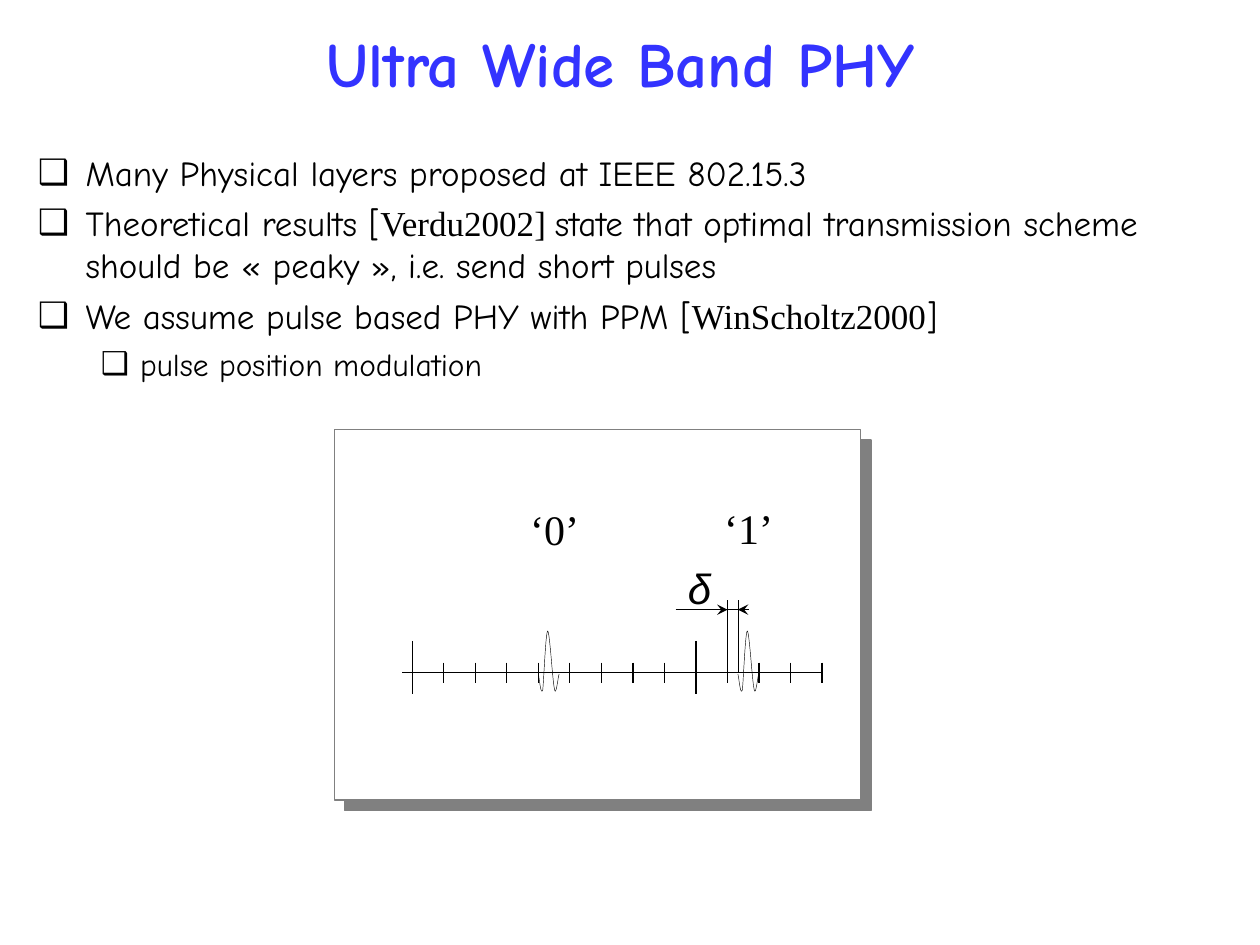
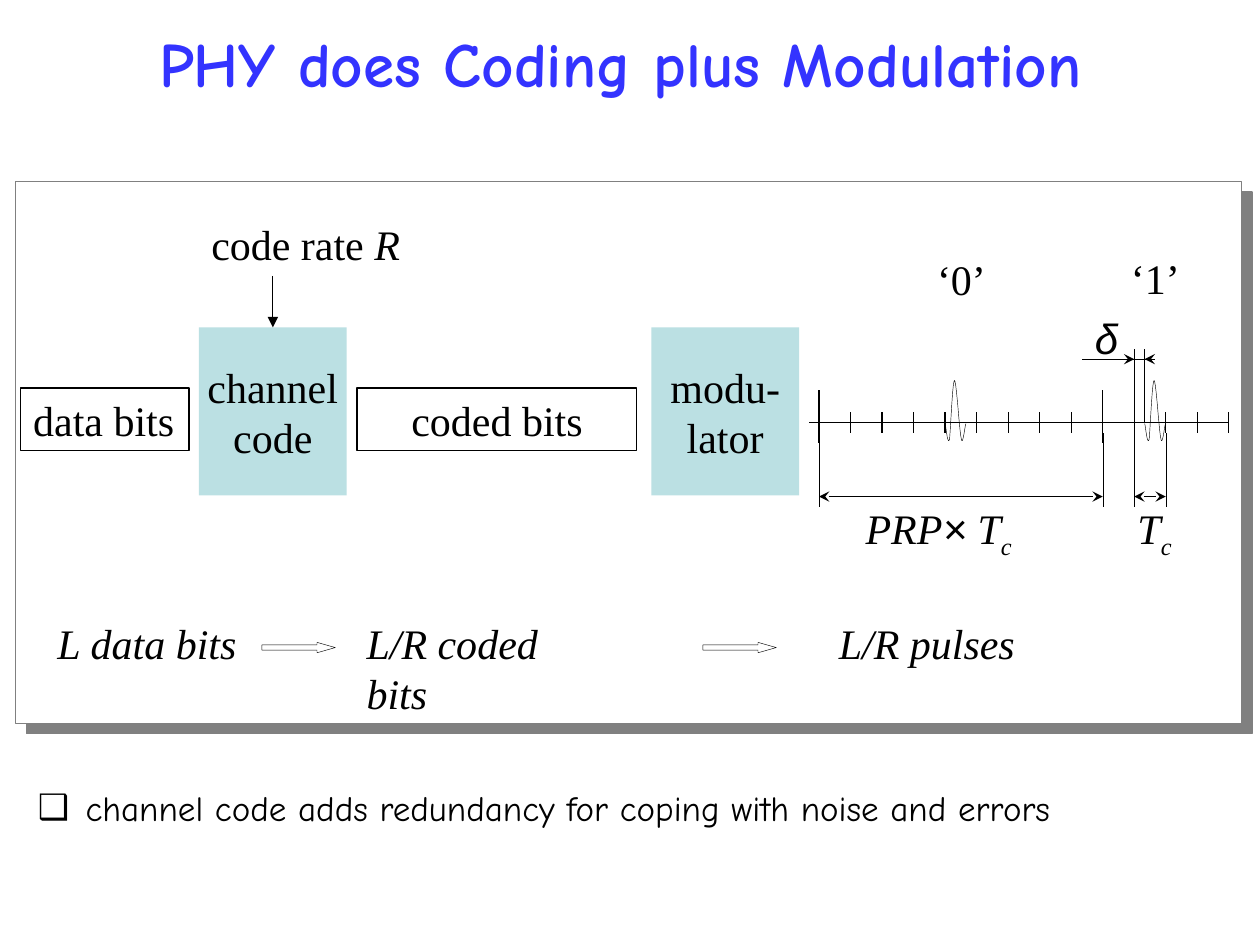
from dataclasses import dataclass

from lxml import etree
from pptx import Presentation
from pptx import util as u
from pptx.dml.color import RGBColor
from pptx.enum import dml, shapes, text
from pptx.oxml import ns


@dataclass(frozen=True)
class Theme:
    title_color: RGBColor = RGBColor(0x33, 0x33, 0xFF)
    ink: RGBColor = RGBColor(0, 0, 0)
    paper: RGBColor = RGBColor(0xFF, 0xFF, 0xFF)
    gray: RGBColor = RGBColor(0x80, 0x80, 0x80)
    block: RGBColor = RGBColor(0xBB, 0xE0, 0xE3)
    heading_font: str = "Comic Neue"
    label_font: str = "Times New Roman"
    symbol_font: str = "Arial"
    title_size: u.Pt = u.Pt(36)
    list_sizes: tuple = (u.Pt(20), u.Pt(18))
    label_size: u.Pt = u.Pt(24)
    normal_line: u.Pt = u.Pt(0.75)
    thin_line: u.Pt = u.Pt(0.25)


@dataclass(frozen=True)
class Run:
    text: str
    font: str = Theme.label_font
    italic: bool = False
    subscript: bool = False


THEME = Theme()
LIST_INDENTS = ((0.96, -0.96), (2.06, -0.79))
LIST_GAPS = (u.Pt(5), u.Pt(4.5))
LABEL_HEIGHT = 1.27

PERIOD = 5.72
CHIPS_PER_PERIOD = 9
CHIP = PERIOD / CHIPS_PER_PERIOD
LAST_TICK = 13
ONE_CHIP = 10
DELTA = 0.21
PULSE_START = (0, 0.03)
PULSE_CURVES = (
    ((0.02, 0.08), (0.05, 0.48), (0.09, 0.35)),
    ((0.11, 0.2), (0.15, -0.84), (0.19, -0.84)),
    ((0.23, -0.84), (0.29, 0.2), (0.33, 0.35)),
    ((0.36, 0.48), (0.4, 0.08), (0.42, 0.03)),
)


def heading(words):
    return Run(words, THEME.heading_font)


def italic(words):
    return Run(words, italic=True)


def subscript(words):
    return Run(words, italic=True, subscript=True)


def box_lengths(box):
    return [u.Cm(length) for length in box]


def place(shape, box):
    shape.left, shape.top, shape.width, shape.height = box_lengths(box)


def add_runs(paragraph, runs, size):
    for item in runs:
        run = paragraph.add_run()
        run.text = item.text
        run.font.name = item.font
        run.font.size = size
        run.font.color.rgb = THEME.ink
        if item.italic:
            run.font.italic = True
        if item.subscript:
            run._r.get_or_add_rPr().set("baseline", "-25000")


def add_slide(presentation, title, list_box, items):
    slide = presentation.slides.add_slide(presentation.slide_layouts[1])
    heading_shape = slide.shapes.title
    place(heading_shape, (0.3, 0, 24.41, 2.51))
    frame = heading_shape.text_frame
    frame.vertical_anchor = text.MSO_ANCHOR.MIDDLE
    frame.auto_size = text.MSO_AUTO_SIZE.NONE
    paragraph = frame.paragraphs[0]
    paragraph.alignment = text.PP_ALIGN.CENTER
    run = paragraph.add_run()
    run.text = title
    run.font.name = THEME.heading_font
    run.font.size = THEME.title_size
    run.font.bold = True
    run.font.color.rgb = THEME.title_color
    fill_list(slide.placeholders[1], list_box, items)
    return slide


def add_bullet(paragraph, level):
    properties = paragraph._p.get_or_add_pPr()
    margin, indent = LIST_INDENTS[level]
    properties.set("marL", str(u.Cm(margin)))
    properties.set("indent", str(u.Cm(indent)))
    bullet_color = etree.SubElement(properties, ns.qn("a:buClr"))
    etree.SubElement(bullet_color, ns.qn("a:srgbClr"), val=str(THEME.ink))
    etree.SubElement(properties, ns.qn("a:buFont"), typeface=THEME.symbol_font)
    etree.SubElement(properties, ns.qn("a:buChar"), char="❑")


def fill_list(placeholder, box, items):
    place(placeholder, box)
    frame = placeholder.text_frame
    frame.auto_size = text.MSO_AUTO_SIZE.NONE
    for index, (level, runs) in enumerate(items):
        paragraph = frame.add_paragraph() if index else frame.paragraphs[0]
        paragraph.level = level
        add_bullet(paragraph, level)
        paragraph.space_before = LIST_GAPS[level] if index else u.Pt(0)
        add_runs(paragraph, runs, THEME.list_sizes[level])


def write_label(shape, lines, alignment=text.PP_ALIGN.LEFT,
                anchor=text.MSO_ANCHOR.TOP, wrap=False):
    frame = shape.text_frame
    frame.word_wrap = wrap
    frame.vertical_anchor = anchor
    for index, runs in enumerate(lines):
        paragraph = frame.add_paragraph() if index else frame.paragraphs[0]
        paragraph.alignment = alignment
        add_runs(paragraph, runs, THEME.label_size)


def add_label(slide, left, top, width, *runs):
    box = box_lengths((left, top, width, LABEL_HEIGHT))
    write_label(slide.shapes.add_textbox(*box), [runs])


def add_box(slide, box, fill=None, line=None, width=THEME.normal_line,
            kind=shapes.MSO_SHAPE.RECTANGLE):
    shape = slide.shapes.add_shape(kind, *box_lengths(box))
    shape.shadow.inherit = False
    if fill is None:
        shape.fill.background()
    else:
        shape.fill.solid()
        shape.fill.fore_color.rgb = fill
    if line is None:
        shape.line.fill.background()
    else:
        shape.line.color.rgb = line
        shape.line.width = width
    return shape


def add_panel(slide, box):
    panel = add_box(slide, box, THEME.paper, THEME.gray)
    effects = panel._element.spPr.find(ns.qn("a:effectLst"))
    shadow = etree.SubElement(effects, ns.qn("a:outerShdw"), dist=str(u.Pt(8.5)),
                              dir="2700000", algn="ctr", rotWithShape="0")
    etree.SubElement(shadow, ns.qn("a:srgbClr"), val=str(THEME.gray))


def add_bits(slide, left, width, words, alignment):
    box = add_box(slide, (left, 7.82, width, LABEL_HEIGHT), line=THEME.ink)
    write_label(box, [[Run(words)]], alignment, wrap=True)


def add_block(slide, left, *words):
    block = add_box(slide, (left, 6.6, 2.98, 3.39), THEME.block)
    write_label(block, [[Run(word)] for word in words],
                text.PP_ALIGN.CENTER, text.MSO_ANCHOR.MIDDLE)
    return block


def add_flow_arrow(slide, left):
    arrow = add_box(slide, (left, 12.95, 1.48, 0.21), line=THEME.ink,
                    width=THEME.thin_line, kind=shapes.MSO_SHAPE.RIGHT_ARROW)
    arrow.adjustments[1] = 1.755


def add_line(slide, start, end, width=THEME.thin_line, dotted=False,
             head=None, tail=None):
    connector = slide.shapes.add_connector(
        shapes.MSO_CONNECTOR.STRAIGHT, *box_lengths(start + end))
    connector.line.color.rgb = THEME.ink
    connector.line.width = width
    if dotted:
        connector.line.dash_style = dml.MSO_LINE.ROUND_DOT
    outline = connector.line._get_or_add_ln()
    for tag, arrow in (("a:headEnd", head), ("a:tailEnd", tail)):
        if arrow:
            etree.SubElement(outline, ns.qn(tag), type=arrow)
    etree.SubElement(connector._element.spPr, ns.qn("a:effectLst"))
    return connector


def bezier_point(points, t):
    weights = ((1 - t) ** 3, 3 * t * (1 - t) ** 2, 3 * t * t * (1 - t), t ** 3)
    return tuple(sum(w * point[axis] for w, point in zip(weights, points))
                 for axis in (0, 1))


def add_pulse(slide, left, axis, steps=10):
    outline = [PULSE_START]
    for curve in PULSE_CURVES:
        controls = (outline[-1], *curve)
        outline += [bezier_point(controls, step / steps)
                    for step in range(1, steps + 1)]
    points = [(u.Cm(left + x), u.Cm(axis + y)) for x, y in outline]
    builder = slide.shapes.build_freeform(*points[0])
    builder.add_line_segments(points[1:], close=False)
    pulse = builder.convert_to_shape()
    pulse.shadow.inherit = False
    pulse.fill.background()
    pulse.line.color.rgb = THEME.ink
    pulse.line.width = THEME.thin_line


def add_pulse_train(slide, left, axis):
    add_line(slide, (left - 0.2, axis), (left + LAST_TICK * CHIP, axis),
             THEME.normal_line)
    for tick in range(LAST_TICK + 1):
        above, below = (0.2, 0.21) if tick % CHIPS_PER_PERIOD else (0.64, 0.43)
        x = left + tick * CHIP
        add_line(slide, (x, axis - above), (x, axis + below), THEME.normal_line)

    nominal = left + ONE_CHIP * CHIP
    shifted = nominal + DELTA
    period_end = left + PERIOD
    level = axis - 1.27
    add_pulse(slide, left + 4 * CHIP, axis)
    add_pulse(slide, shifted, axis)
    for x in (nominal, shifted):
        add_line(slide, (x, axis), (x, axis - 1.47), dotted=True)
    add_line(slide, (period_end, level), (shifted + DELTA, level))
    add_line(slide, (period_end - 0.41, level), (nominal, level), tail="stealth")
    add_line(slide, (shifted, level), (shifted + DELTA, level), head="stealth")
    add_label(slide, left + 5.31, axis - 2.34, 0.99,
              Run("δ", THEME.symbol_font, italic=True))
    add_label(slide, left + 2.13, axis - 3.53, 1.5, Run("‘0’"))
    add_label(slide, left + 6.04, axis - 3.55, 1.5, Run("‘1’"))


def add_durations(slide, left, axis):
    level = axis + 1.5
    for first, last in ((0, CHIPS_PER_PERIOD), (ONE_CHIP, ONE_CHIP + 1)):
        ends = [left + tick * CHIP for tick in (first, last)]
        add_line(slide, (ends[0], level), (ends[1], level),
                 head="stealth", tail="stealth")
        for x in ends:
            add_line(slide, (x, axis + 1.7), (x, axis + 0.21), dotted=True)
    add_label(slide, left + 0.69, level, 3.45, italic("PRP"),
              Run("×", THEME.symbol_font, italic=True), italic(" T"), subscript("c"))
    add_label(slide, left + 6.17, level, 1.19, italic("T"), subscript("c"))


def build_phy_slide(presentation):
    slide = add_slide(presentation, "Ultra Wide Band PHY", (0.51, 2.92, 24.31, 6.6), (
        (0, [heading("Many Physical layers proposed at IEEE 802.15.3")]),
        (0, [heading("Theoretical results ["), Run("Verdu2002] "),
             heading("state that optimal transmission scheme should be "
                     "« peaky », i.e. send short pulses")]),
        (0, [heading("We assume pulse based PHY with PPM ["),
             Run("WinScholtz2000"), heading("]")]),
        (1, [heading("pulse position modulation")]),
    ))
    add_panel(slide, (6.74, 8.66, 10.61, 7.47))
    add_pulse_train(slide, 8.31, 13.56)


def build_coding_slide(presentation):
    slide = add_slide(presentation, "PHY does Coding plus Modulation",
                      (0.51, 15.72, 24.61, 3), (
        (0, [heading("channel code adds redundancy for coping with noise and errors")]),
    ))
    add_panel(slide, (0.32, 3.66, 24.71, 10.92))
    add_bits(slide, 0.42, 3.39, "data bits", text.PP_ALIGN.LEFT)
    channel_code = add_block(slide, 4.01, "channel", "code")
    add_bits(slide, 7.2, 5.64, "coded bits", text.PP_ALIGN.CENTER)
    add_block(slide, 13.13, "modu-", "lator")
    add_label(slide, 4.01, 4.29, 4.32, Run("code rate "), italic("R"))
    rate_arrow = add_line(slide, (5.5, 5.56), (5.5, 6.6), THEME.normal_line,
                          tail="triangle")
    rate_arrow.end_connect(channel_code, 0)

    add_pulse_train(slide, 16.51, 8.51)
    add_durations(slide, 16.51, 8.51)

    for left, width, words in ((0.91, 4.11, "L data bits"),
                               (7.14, 5.38, "L/R coded bits"),
                               (16.66, 4.06, "L/R pulses")):
        add_label(slide, left, 12.32, width, italic(words))
    for left in (5.28, 14.17):
        add_flow_arrow(slide, left)


def main():
    presentation = Presentation()
    presentation.slide_width = u.Cm(25.4)
    presentation.slide_height = u.Cm(19.05)
    build_phy_slide(presentation)
    build_coding_slide(presentation)
    presentation.save("out.pptx")


if __name__ == "__main__":
    main()
